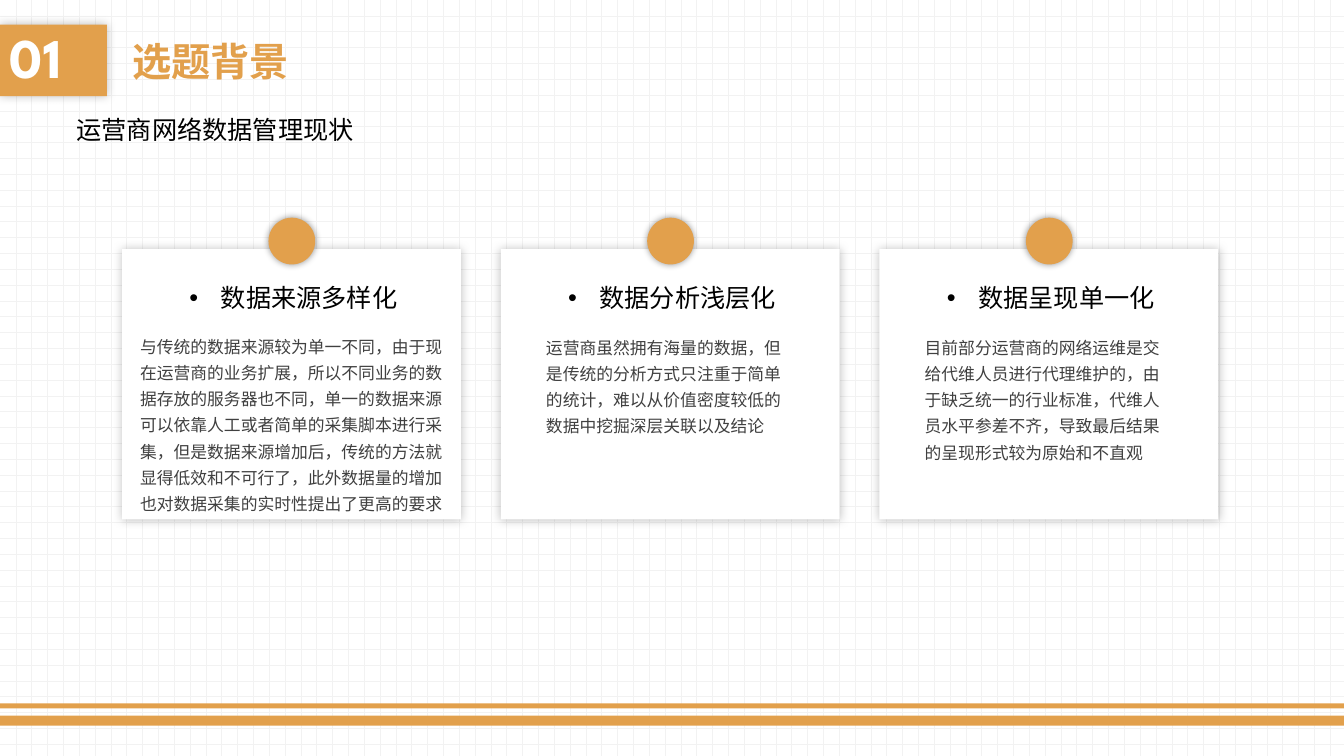
"""Build the slide on the state of operator network data management."""
import pptx
import pptx.util
import pptx.dml.color
import pptx.enum.dml
import pptx.enum.shapes
import pptx.enum.text
import pptx.oxml
import pptx.oxml.ns

Pt = pptx.util.Pt
RGB = pptx.dml.color.RGBColor.from_string
KIND = pptx.enum.shapes.MSO_SHAPE
ANCHOR = pptx.enum.text.MSO_ANCHOR
NS = pptx.oxml.ns.nsdecls("a")
COLORS = {"gold": "E2A04C", "white": "FFFFFF", "grid": "F2F2F2",
          "black": "000000", "gray": "404040"}
HEAD = "League Spartan"
BODY = "Noto Sans CJK SC"

deck = pptx.Presentation()
deck.slide_width, deck.slide_height = Pt(960), Pt(540)
slide = deck.slides.add_slide(deck.slide_layouts[6])
back = slide.background.fill
back.patterned()
back.pattern = pptx.enum.dml.MSO_PATTERN.DOTTED_GRID
back.fore_color.rgb = RGB(COLORS["grid"])
back.back_color.rgb = RGB(COLORS["white"])


def block(kind, box, color, blur=0, alpha=0):
    """Add a filled shape, with a soft shadow if blur is given."""
    shape = slide.shapes.add_shape(kind, *map(Pt, box))
    shape.shadow.inherit = False
    shape.fill.solid()
    shape.fill.fore_color.rgb = RGB(COLORS[color])
    shape.line.fill.background()
    if blur:
        glow = pptx.oxml.parse_xml(
            f'<a:outerShdw {NS} blurRad="{Pt(blur)}" dist="0" algn="ctr" rotWithShape="0">'
            f'<a:srgbClr val="{COLORS["black"]}"><a:alpha val="{alpha * 1000}"/></a:srgbClr>'
            '</a:outerShdw>')
        shape._element.spPr.find(pptx.oxml.ns.qn("a:effectLst")).append(glow)
    return shape


def write(shape, text, size, font, color, bold=False, wrap=True):
    """Put one left-aligned run in a shape and return its paragraph."""
    frame = shape.text_frame
    frame.word_wrap = wrap
    para = frame.paragraphs[0]
    para.alignment = pptx.enum.text.PP_ALIGN.LEFT
    run = para.add_run()
    run.text = text
    run.font.size, run.font.bold, run.font.name = Pt(size), bold, font
    run.font.color.rgb = RGB(COLORS[color])
    run._r.get_or_add_rPr().append(
        pptx.oxml.parse_xml(f'<a:ea {NS} typeface="{BODY}"/>'))
    return para


for top, high in ((511.2, 7.2), (502.4, 3.6)):
    block(KIND.RECTANGLE, (0, top, 960, high), "gold")

badge = block(KIND.RECTANGLE, (0, 17.6, 76.4, 51.2), "gold", 7, 25)
badge.text_frame.vertical_anchor = ANCHOR.MIDDLE
para = write(badge, "01", 40, HEAD, "white", True)
para.line_spacing, para.space_before = 0.9, Pt(10)

title = slide.shapes.add_textbox(Pt(87.4), Pt(17.6), Pt(507), Pt(51.2))
title.text_frame.vertical_anchor = ANCHOR.MIDDLE
write(title, "选题背景", 28, HEAD, "gold", True).space_before = Pt(10)

topic = slide.shapes.add_textbox(Pt(47.5), Pt(77.8), Pt(527), Pt(29))
write(topic, "运营商网络数据管理现状", 18, HEAD, "black")

cards = (
    ("数据来源多样化", 5.8, 235.4, 232.6,
     "与传统的数据来源较为单一不同，由于现在运营商的业务扩展，所以不同业务的数据存放的服务器也不同，"
     "单一的数据来源可以依靠人工或者简单的采集脚本进行采集，但是数据来源增加后，传统的方法就显得低效和不可行了，"
     "此外数据量的增加也对数据采集的实时性提出了更高的要求"),
    ("数据分析浅层化", 25.2, 191.6, 233.3,
     "运营商虽然拥有海量的数据，但是传统的分析方式只注重于简单的统计，难以从价值密度较低的数据中挖掘深层关联以及结论"),
    ("数据呈现单一化", 25.2, 191.6, 233.3,
     "目前部分运营商的网络运维是交给代维人员进行代理维护的，由于缺乏统一的行业标准，代维人员水平参差不齐，"
     "导致最后结果的呈现形式较为原始和不直观"),
)
for num, (name, inset, wide, top, text) in enumerate(cards):
    left = 87.2 + 270.5 * num
    block(KIND.RECTANGLE, (left, 178, 242, 193), "white", 7, 25)

    note = slide.shapes.add_textbox(Pt(left + inset), Pt(top), Pt(wide), Pt(138))
    write(note, text, 12, BODY, "gray").line_spacing = 1.3

    label = slide.shapes.add_textbox(Pt(left + 41), Pt(198), Pt(164), Pt(29))
    props = write(label, name, 18, HEAD, "black", wrap=False)._p.get_or_add_pPr()
    props.set("marL", str(Pt(22.5)))
    props.set("indent", str(-Pt(22.5)))
    for mark in ('buFont {} typeface="Arial"', 'buChar {} char="•"'):
        props.append(pptx.oxml.parse_xml(f"<a:{mark.format(NS)}/>"))

    block(KIND.OVAL, (left + 104.6, 155.5, 33.4, 33.4), "gold", 5, 40)

deck.save("out.pptx")
